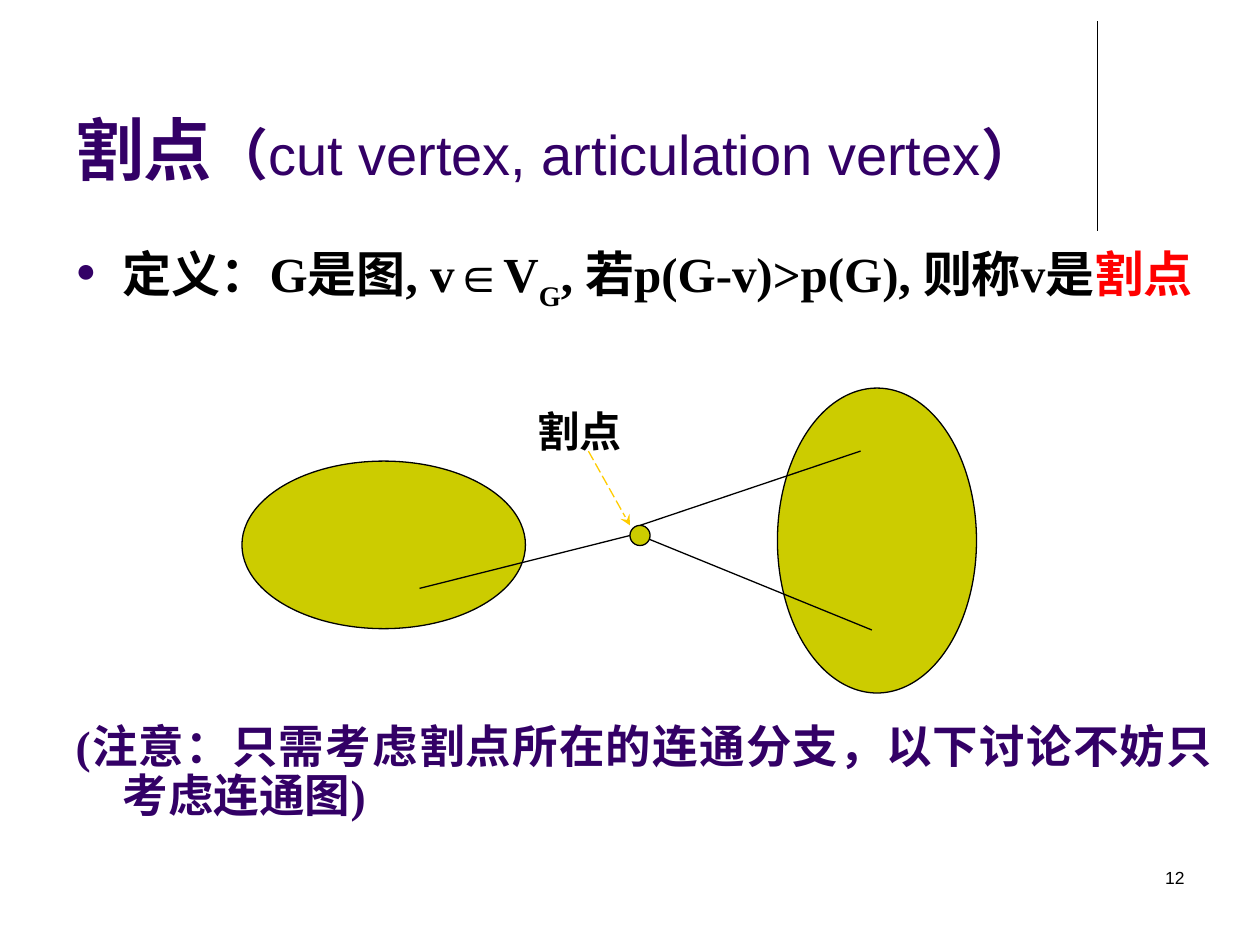
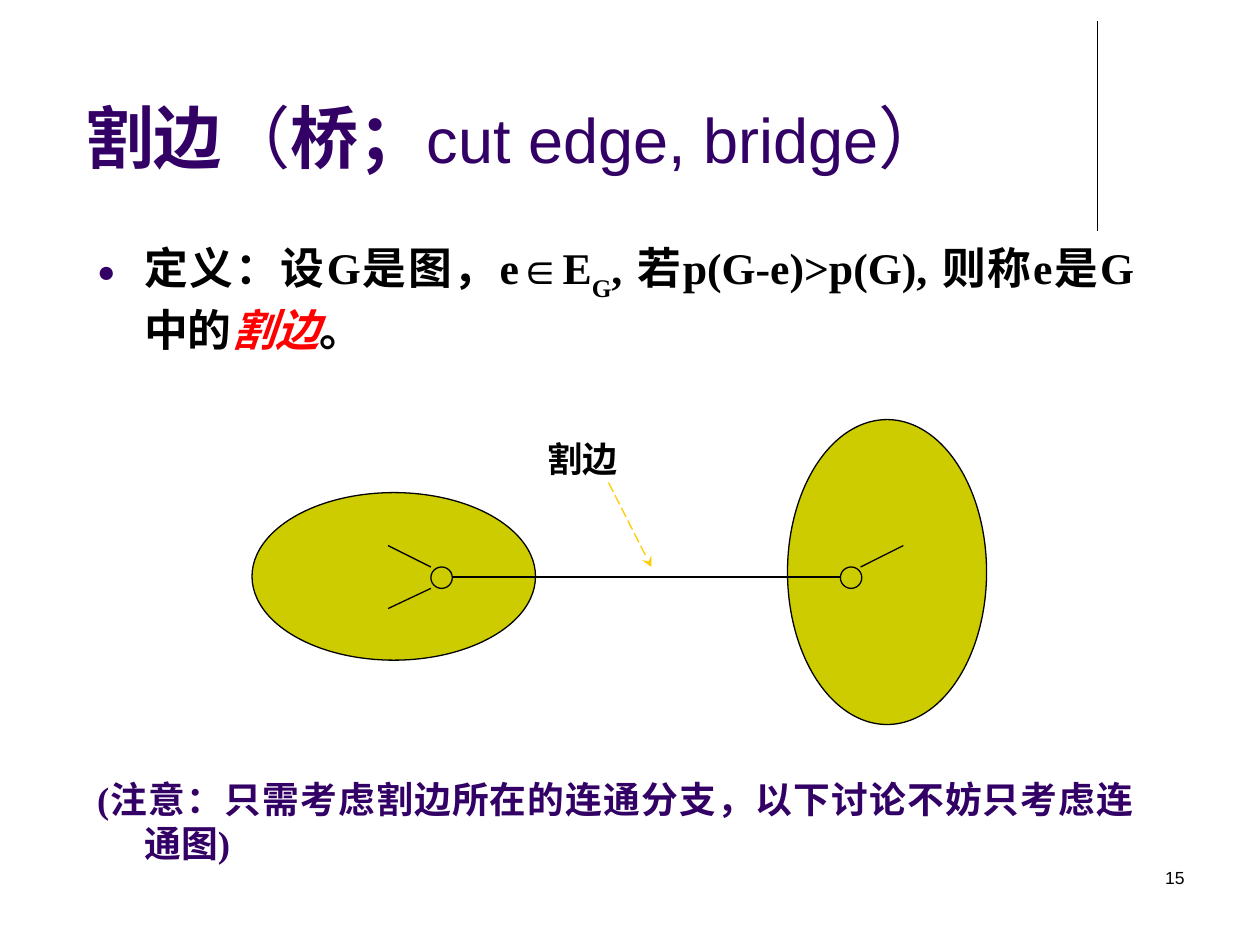
from lxml import etree
from pptx import Presentation
from pptx import util as u
from pptx.dml.color import RGBColor
from pptx.enum import dml, shapes, text
from pptx.oxml import ns

COLORS = {
    "ink": "000000",
    "heading": "330066",
    "term": "FF0000",
    "blob": "CCCC00",
    "pointer": "FFCC00",
}
SANS = "Arial"
SERIF = "Times New Roman"


def color(name):
    return RGBColor.from_string(COLORS[name])


def place(shape, left, top, width, height):
    shape.left, shape.top = u.Inches(left), u.Inches(top)
    shape.width, shape.height = u.Inches(width), u.Inches(height)


def style_font(font, name, size, color_name, bold=None):
    font.name, font.size, font.bold = name, u.Pt(size), bold
    font.color.rgb = color(color_name)


def add_child(parent, tag, **attributes):
    return etree.SubElement(parent, ns.qn(tag), attributes)


def add_title(slide, box, size, runs):
    title = slide.shapes.title
    place(title, *box)
    frame = title.text_frame
    frame.word_wrap = True
    frame.auto_size = text.MSO_AUTO_SIZE.NONE
    frame.vertical_anchor = text.MSO_ANCHOR.BOTTOM
    paragraph = frame.paragraphs[0]
    paragraph.alignment = text.PP_ALIGN.LEFT
    style_font(paragraph.font, SANS, size, "heading")
    for content, run_size, bold in runs:
        run = paragraph.add_run()
        run.text = content
        run.font.size, run.font.bold = u.Pt(run_size), bold


def add_bullet(paragraph):
    properties = paragraph._p.get_or_add_pPr()
    default_font = properties.find(ns.qn("a:defRPr"))
    bullet_color = add_child(properties, "a:buClr")
    add_child(bullet_color, "a:srgbClr", val=COLORS["heading"])
    add_child(properties, "a:buSzPct", val="70000")
    add_child(properties, "a:buChar", char="●")
    properties.append(default_font)


def remove_bullet(paragraph):
    properties = paragraph._p.get_or_add_pPr()
    default_font = properties.find(ns.qn("a:defRPr"))
    add_child(properties, "a:buNone")
    properties.append(default_font)


def add_definition(slide, box, sizes, line_spacing, note_gap, runs, note):
    body = slide.placeholders[1]
    place(body, *box)
    frame = body.text_frame
    frame.word_wrap = True
    frame.auto_size = text.MSO_AUTO_SIZE.NONE
    definition, remark = frame.paragraphs[0], frame.add_paragraph()
    for paragraph, size, name in zip((definition, remark), sizes, ("ink", "heading")):
        paragraph.alignment = text.PP_ALIGN.JUSTIFY
        paragraph.line_spacing = line_spacing
        style_font(paragraph.font, SERIF, size, name, True)
    for content, role in runs:
        run = definition.add_run()
        run.text = content
        if role == "subscript":
            run.font._element.set("baseline", "-30000")
        elif role:
            run.font.color.rgb = color("term")
            run.font.italic = role == "italic term"
    remark.add_run().text = note
    remark.space_before = u.Pt(note_gap)
    add_bullet(definition)
    remove_bullet(remark)


def add_text(slide, box, content, name, size, bold=False, alignment=text.PP_ALIGN.LEFT):
    frame = slide.shapes.add_textbox(*map(u.Inches, box)).text_frame
    frame.word_wrap = True
    paragraph = frame.paragraphs[0]
    paragraph.text = content
    paragraph.alignment = alignment
    style_font(paragraph.font, name, size, "ink", bold)


def add_ellipse(slide, left, top, width, height):
    ellipse = slide.shapes.add_shape(
        shapes.MSO_SHAPE.OVAL, *map(u.Inches, (left, top, width, height)))
    ellipse.shadow.inherit = False
    ellipse.fill.solid()
    ellipse.fill.fore_color.rgb = color("blob")
    ellipse.line.color.rgb = color("ink")
    ellipse.line.width = u.Pt(0.75)


def add_line(slide, start, end, color_name="ink"):
    line = slide.shapes.add_connector(
        shapes.MSO_CONNECTOR.STRAIGHT, *map(u.Inches, (*start, *end)))
    line.line.color.rgb = color(color_name)
    line.line.width = u.Pt(0.75)
    add_child(line._element.spPr, "a:effectLst")
    return line


def add_pointer(slide, start, end):
    pointer = add_line(slide, start, end, "pointer")
    pointer.line.dash_style = dml.MSO_LINE.LONG_DASH
    add_child(pointer.line._get_or_add_ln(), "a:tailEnd", type="stealth")


def add_components(slide, left, top, label, label_size):
    add_ellipse(slide, left, top + 0.58, 2.25, 1.33)
    add_ellipse(slide, left + 4.25, top, 1.58, 2.42)
    add_text(slide, (left + 2.25, top + 0.09, 1.5, 0.5), label, SERIF, label_size, True)


def add_framed_slide(presentation, number):
    slide = presentation.slides.add_slide(presentation.slide_layouts[1])
    add_line(slide, (8.71, 0.17), (8.71, 1.83))
    add_text(slide, (7.17, 6.83, 2.33, 0.5), number, SANS, 10,
             alignment=text.PP_ALIGN.RIGHT)
    return slide


def build_cut_vertex(presentation):
    slide = add_framed_slide(presentation, "12")
    add_title(slide, (0.5, 0.13, 8.25, 1.42), 32, [
        ("割点", 39, True), ("（", 32, True),
        ("cut vertex, articulation vertex", 32, False), ("）", 32, True)])
    add_definition(slide, (0.5, 1.88, 9.23, 4.82), (28, 26), 0.9, 239, [
        ("定义：G是图, v∈V", None), ("G", "subscript"),
        (", 若p(G-v)>p(G), 则称v是", None), ("割点", "term")],
        "(注意：只需考虑割点所在的连通分支，以下讨论不妨只考虑连通图)")
    add_components(slide, 1.92, 3.08, "割点", 24)
    for start, end in (((5.08, 4.17), (6.83, 3.58)),
                       ((5.08, 4.25), (6.92, 5)),
                       ((5, 4.25), (3.33, 4.67))):
        add_line(slide, start, end)
    add_ellipse(slide, 5, 4.17, 0.16, 0.16)
    add_pointer(slide, (4.67, 3.58), (5, 4.17))


def build_cut_edge(presentation):
    slide = add_framed_slide(presentation, "15")
    add_title(slide, (0.58, 0.23, 8.01, 1.23), 39, [
        ("割边", 39, True), ("（", 39, False), ("桥；", 39, True),
        ("cut edge, bridge", 36, False), ("）", 39, False)])
    add_definition(slide, (0.67, 1.86, 8.43, 5.36), (25, 21), 1, 241, [
        ("定义：设G是图，e∈E", None), ("G", "subscript"),
        (", 若p(G-e)>p(G), 则称e是G中的", None), ("割边", "italic term"),
        ("。", None)],
        "(注意：只需考虑割边所在的连通分支，以下讨论不妨只考虑连通图)")
    add_components(slide, 2, 3.33, "割边", 20)
    add_line(slide, (3.5, 4.58), (6.67, 4.58))
    for left in (3.42, 6.67):
        add_ellipse(slide, left, 4.5, 0.17, 0.17)
    for start, end in (((3.42, 4.5), (3.08, 4.33)),
                       ((3.42, 4.67), (3.08, 4.83)),
                       ((6.83, 4.5), (7.17, 4.33))):
        add_line(slide, start, end)
    add_pointer(slide, (4.83, 3.83), (5.17, 4.5))


def main():
    presentation = Presentation()
    presentation.slide_width = u.Inches(10)
    presentation.slide_height = u.Inches(7.5)
    build_cut_vertex(presentation)
    build_cut_edge(presentation)
    presentation.save("out.pptx")


if __name__ == "__main__":
    main()
